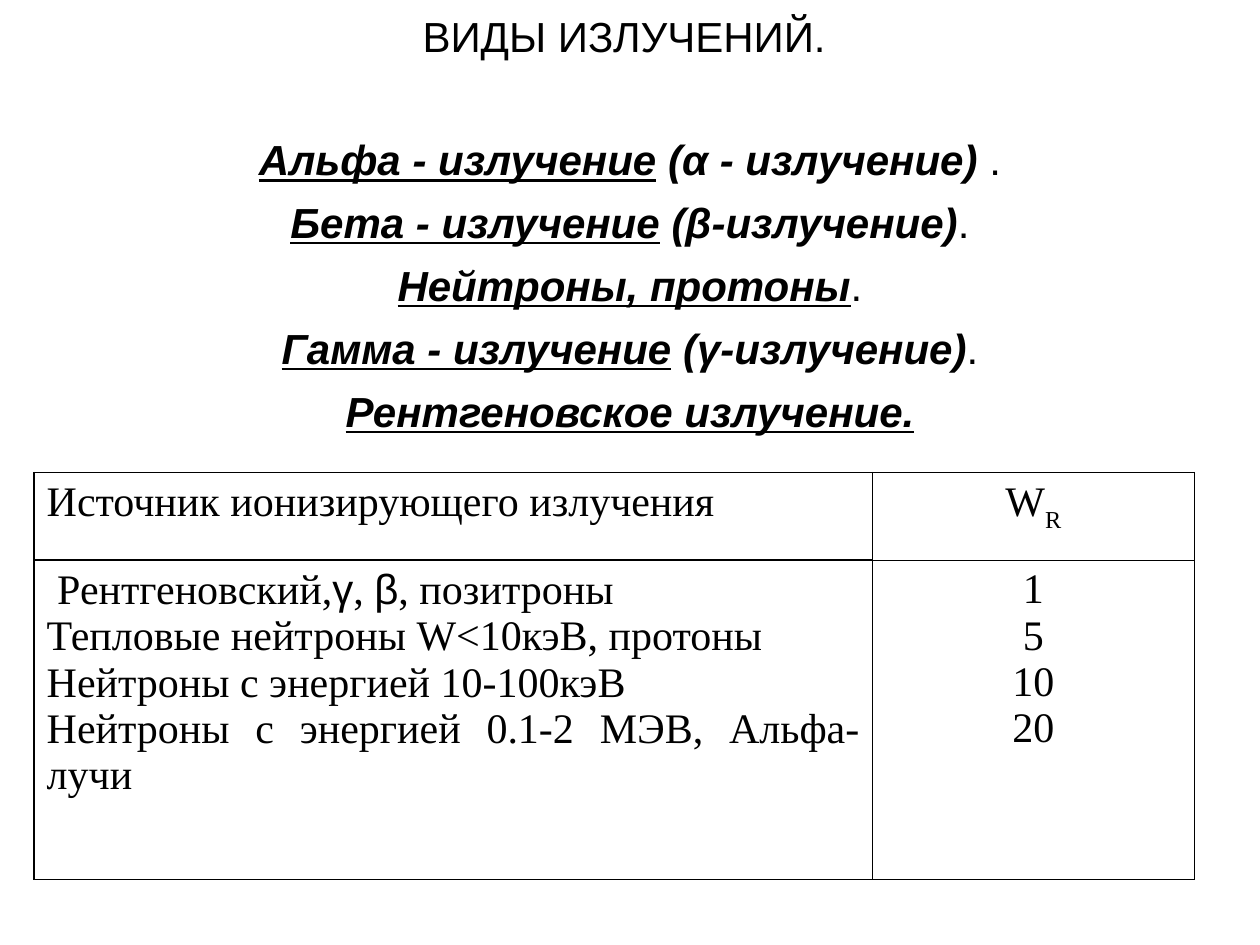
import pptx
import pptx.util
import pptx.dml.color
import pptx.enum.text
import lxml.etree
from dataclasses import dataclass

Pt = pptx.util.Pt
Align = pptx.enum.text.PP_ALIGN


@dataclass
class Theme:
    ink: str = "000000"
    size: float = 24
    sans: str = "Arial"
    serif: str = "Times New Roman"
    edge: float = 0.96
    thin: float = 0.45


theme = Theme()
ink = pptx.dml.color.RGBColor.from_string(theme.ink)


def style(par, face, align):
    par.alignment = align
    par.font.name = face
    par.font.size = Pt(theme.size)
    par.font.color.rgb = ink


def border(cell, side, width):
    props = cell._tc.get_or_add_tcPr()
    main = "{http://schemas.openxmlformats.org/drawingml/2006/main}"
    line = lxml.etree.SubElement(props, main + side, w=str(Pt(width)))
    fill = lxml.etree.SubElement(line, main + "solidFill")
    lxml.etree.SubElement(fill, main + "srgbClr", val=theme.ink)


deck = pptx.Presentation()
deck.slide_width, deck.slide_height = Pt(720), Pt(540)
slide = deck.slides.add_slide(deck.slide_layouts[6])

# Heading and list of radiation kinds: underlined, bold, plain
kinds = [
    ("", "", "ВИДЫ ИЗЛУЧЕНИЙ. "),
    ("Альфа - излучение", " (α - излучение)", " ."),
    ("Бета - излучение", " (β-излучение)", "."),
    ("Нейтроны, протоны", "", "."),
    ("Гамма - излучение", " (γ-излучение)", "."),
    ("Рентгеновское излучение.", "", ""),
]
gaps = [0, 41.7, 7.1, 7.1, 7.1, 7.1]
box = slide.shapes.add_textbox(Pt(0), Pt(2.5), Pt(720), Pt(444))
frame = box.text_frame
frame.word_wrap = True
for row, (parts, gap) in enumerate(zip(kinds, gaps)):
    par = frame.add_paragraph() if row else frame.paragraphs[0]
    style(par, theme.sans, Align.CENTER)
    par.space_before = Pt(gap)
    for spot, text in enumerate(parts):
        if text:
            run = par.add_run()
            run.text = text
            run.font.bold = run.font.italic = spot < 2
            run.font.underline = spot == 0

# Table of weighting factors
cells = [
    [["Источник ионизирующего излучения"], ["W|R"]],
    [[" Рентгеновский,|γ|, |β|, позитроны",
      "Тепловые нейтроны W<10кэВ, протоны",
      "Нейтроны с энергией 10-100кэВ",
      "Нейтроны с энергией 0.1-2 МЭВ, Альфа-лучи"],
     ["1", "5", "10", "20"]],
]
grid = slide.shapes.add_table(2, 2, Pt(19.5), Pt(270), Pt(663), Pt(232.5)).table
for col, width in zip(grid.columns, (479, 184)):
    col.width = Pt(width)
for row, height in zip(grid.rows, (50, 182.5)):
    row.height = Pt(height)

for down, row in enumerate(cells):
    for across, lines in enumerate(row):
        cell = grid.cell(down, across)
        for side in ("lnL", "lnR", "lnT", "lnB"):
            inner = across == 1 and side == ("lnT" if down else "lnB")
            border(cell, side, theme.thin if inner else theme.edge)
        cell.fill.background()
        for rank, line in enumerate(lines):
            body = cell.text_frame
            par = body.add_paragraph() if rank else body.paragraphs[0]
            style(par, theme.serif, Align.CENTER if across else Align.JUSTIFY)
            for text in line.split("|"):
                run = par.add_run()
                run.text = text
                if text in ("γ", "β"):
                    run.font.name = theme.sans
                elif text == "R":
                    run.font._element.set("baseline", "-30000")

deck.save("out.pptx")
